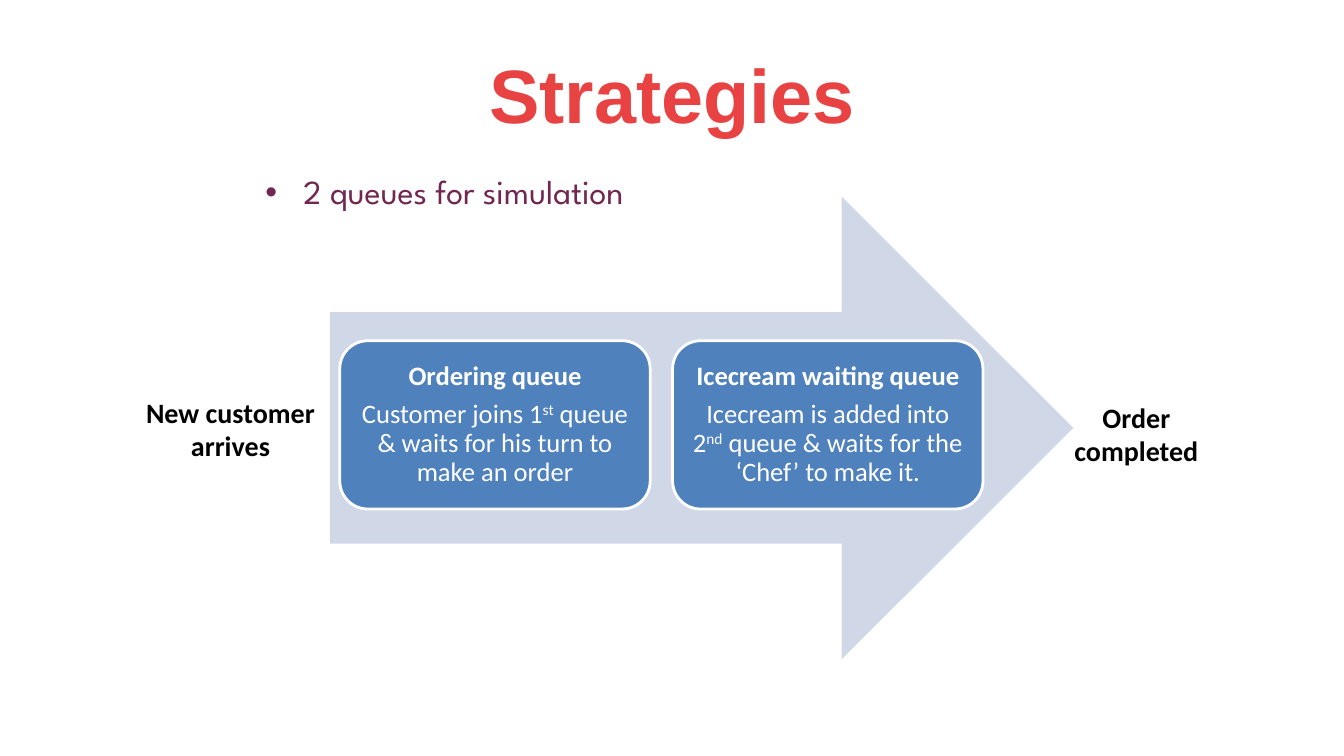
import pptx
import pptx.util
import pptx.dml.color
import pptx.enum.shapes
import pptx.enum.text

Inches, Pt = pptx.util.Inches, pptx.util.Pt
RGBColor = pptx.dml.color.RGBColor
MSO_SHAPE = pptx.enum.shapes.MSO_SHAPE
PP_ALIGN = pptx.enum.text.PP_ALIGN
MSO_ANCHOR = pptx.enum.text.MSO_ANCHOR
MSO_AUTO_SIZE = pptx.enum.text.MSO_AUTO_SIZE

RED = RGBColor(0xE9, 0x42, 0x42)
PLUM = RGBColor(0x71, 0x27, 0x50)
PALE_BLUE = RGBColor(0xD0, 0xD8, 0xE8)
BLUE = RGBColor(0x4F, 0x81, 0xBD)
WHITE = RGBColor(0xFF, 0xFF, 0xFF)
BLACK = RGBColor(0, 0, 0)

prs = pptx.Presentation()
prs.slide_width, prs.slide_height = Inches(13.33), Inches(7.5)
slide = prs.slides.add_slide(prs.slide_layouts[1])


def area(left, top, width, height):
    """Turn percentages of the slide's width and height into lengths."""
    w, h = prs.slide_width / 100, prs.slide_height / 100
    return int(left * w), int(top * h), int(width * w), int(height * h)


def style(p, name, size, color, bold=False):
    p.font.name, p.font.size, p.font.bold = name, Pt(size), bold
    p.font.color.rgb = color


# Title and bullet
for sp, text, place, font in (
    (slide.shapes.title, "Strategies", (5, 4, 90, 16.67), ("Arial", 54, RED, True)),
    (slide.placeholders[1], "2 queues for simulation", (19, 22, 73.1, 55),
     ("League Spartan", 24, PLUM)),
):
    sp.left, sp.top, sp.width, sp.height = area(*place)
    tf = sp.text_frame
    tf.text = text
    tf.auto_size = MSO_AUTO_SIZE.NONE
    style(tf.paragraphs[0], *font)

# Arrow behind the queues
arrow = slide.shapes.add_shape(MSO_SHAPE.RIGHT_ARROW, *area(24.55, 26, 55.3, 61.2))
arrow.shadow.inherit = False
arrow.fill.solid()
arrow.fill.fore_color.rgb = PALE_BLUE
arrow.line.fill.background()

# Queues, left to right
queues = (
    ("Ordering queue", "Customer joins 1", "st",
     " queue & waits for his turn to make an order"),
    ("Icecream waiting queue", "Icecream is added into 2", "nd",
     " queue & waits for the ‘Chef’ to make it."),
)
for i, (heading, before, ordinal, after) in enumerate(queues):
    sp = slide.shapes.add_shape(MSO_SHAPE.ROUNDED_RECTANGLE,
                                *area(25.28 + i * 24.76, 45.07, 23.1, 22.27))
    sp.shadow.inherit = False
    sp.fill.solid()
    sp.fill.fore_color.rgb = BLUE
    sp.line.color.rgb, sp.line.width = WHITE, Pt(2)
    tf = sp.text_frame
    tf.word_wrap = True
    tf.vertical_anchor = MSO_ANCHOR.MIDDLE
    tf.margin_left = tf.margin_right = tf.margin_top = tf.margin_bottom = Inches(0.08)
    tf.text = heading
    p = tf.add_paragraph()
    for text in (before, ordinal, after):
        r = p.add_run()
        r.text = text
        if text == ordinal:
            r.font._element.set("baseline", "30000")
    for p, bold in zip(tf.paragraphs, (True, False)):
        p.alignment = PP_ALIGN.CENTER
        p.line_spacing, p.space_after = 0.9, Pt(6.5)
        style(p, "Calibri", 19, WHITE, bold)

# Labels at both ends of the arrow
for text, place in (
    ("New customer arrives", (8.55, 51.6, 17.2, 10.27)),
    ("Order completed", (77.8, 52.27, 13.5, 10.27)),
):
    tf = slide.shapes.add_textbox(*area(*place)).text_frame
    tf.word_wrap = True
    tf.auto_size = MSO_AUTO_SIZE.SHAPE_TO_FIT_TEXT
    tf.text = text
    p = tf.paragraphs[0]
    p.alignment = PP_ALIGN.CENTER
    style(p, "Calibri", 20, BLACK, True)

prs.save("out.pptx")
